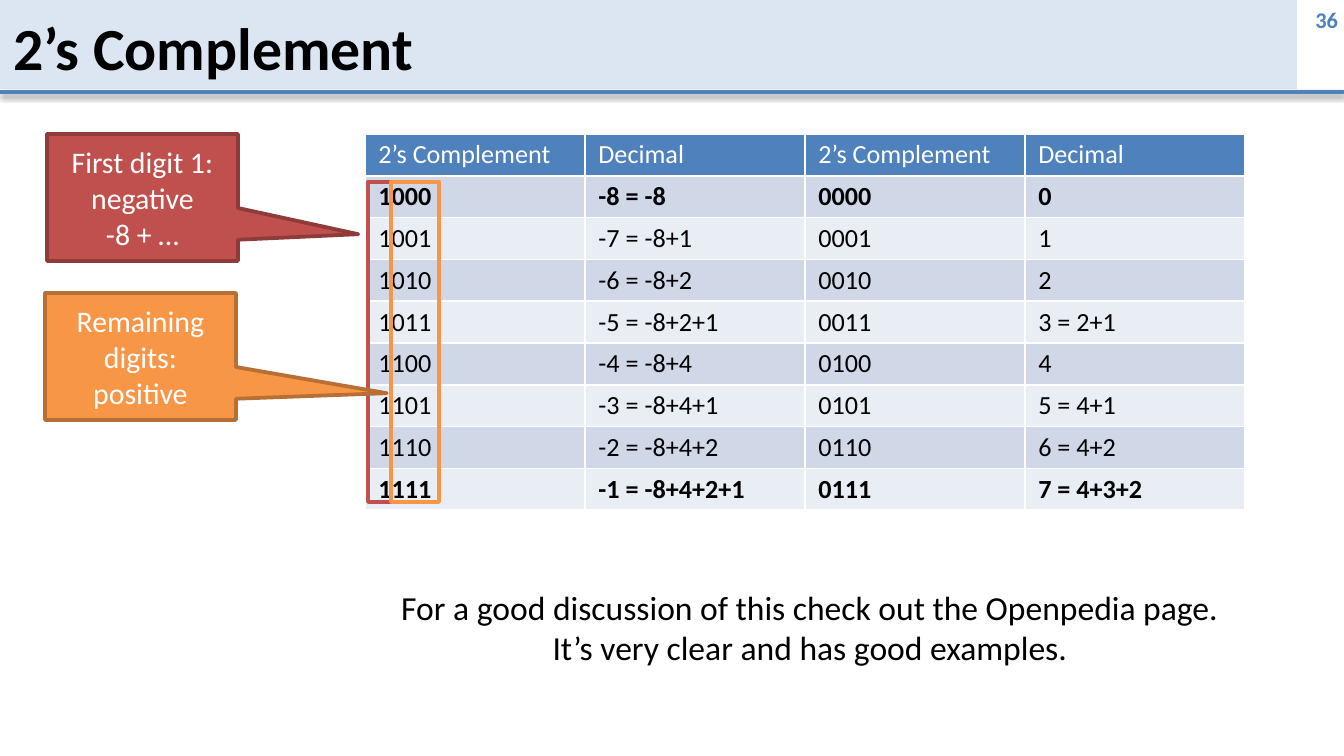
import pptx
import pptx.util
import pptx.dml.color
import pptx.enum.shapes
import pptx.enum.text
import pptx.oxml
import pptx.oxml.ns
from dataclasses import dataclass

PX = 9144000 / 1344  # EMU in one px
SHAPE = pptx.enum.shapes.MSO_SHAPE
ALIGN = pptx.enum.text.PP_ALIGN
MIDDLE = pptx.enum.text.MSO_ANCHOR.MIDDLE


@dataclass
class Theme:
    font: str = "Calibri"
    black: str = "000000"
    white: str = "FFFFFF"
    banner: str = "DCE6F2"
    accent: str = "4F81BD"
    bands: tuple = ("D0D8E8", "E9EDF4")
    red: str = "C0504D"
    dark_red: str = "8E3B39"
    orange: str = "F79646"
    dark_orange: str = "B76F34"
    title: int = 32
    note: int = 18
    callout: int = 16
    table: int = 14
    number: int = 12


theme = Theme()


def px(*lengths):
    return [pptx.util.Emu(round(length * PX)) for length in lengths]


def write(frame, lines, size, color, align=ALIGN.LEFT, bold=False):
    """Fill a text frame with one paragraph for each line."""
    frame.text = "\n".join(lines)
    font_format = {"name": theme.font, "size": pptx.util.Pt(size), "bold": bold}
    for paragraph in frame.paragraphs:
        paragraph.alignment = align
        for run in paragraph.runs:
            for key, value in font_format.items():
                setattr(run.font, key, value)
            run.font.color.rgb = pptx.dml.color.RGBColor.from_string(color)


presentation = pptx.Presentation()
presentation.slide_width, presentation.slide_height = px(1344, 756)
slide = presentation.slides.add_slide(presentation.slide_layouts[5])
shapes = slide.shapes

# Header
page_number = shapes.add_textbox(*px(1254, 0, 90, 40)).text_frame
number_format = {"vertical_anchor": MIDDLE, "word_wrap": False}
number_format["margin_left"], number_format["margin_right"] = px(6, 6)
for key, value in number_format.items():
    setattr(page_number, key, value)
write(page_number, ["36"], theme.number, theme.accent, ALIGN.RIGHT, True)

banner = shapes.add_shape(SHAPE.RECTANGLE, *px(0, 0, 1297, 89))
banner.shadow.inherit = False
banner.fill.solid()
banner.fill.fore_color.rgb = pptx.dml.color.RGBColor.from_string(theme.banner)
banner.line.fill.background()

rule = shapes.add_connector(pptx.enum.shapes.MSO_CONNECTOR.STRAIGHT, *px(0, 92, 1344, 92))
rule.line.color.rgb = pptx.dml.color.RGBColor.from_string(theme.accent)
rule.line.width = pptx.util.Pt(2)
rule.element.spPr.append(pptx.oxml.parse_xml(
    f'<a:effectLst {pptx.oxml.ns.nsdecls("a")}>'
    '<a:outerShdw blurRad="39370" dist="20320" dir="5400000" rotWithShape="0">'
    f'<a:srgbClr val="{theme.black}"><a:alpha val="38000"/></a:srgbClr>'
    '</a:outerShdw></a:effectLst>'))

title = shapes.title
title.element.getparent().append(title.element)  # in front of the banner
title.left, title.top, title.width, title.height = px(0, 4, 1328, 85)
title.text_frame.vertical_anchor = MIDDLE
title.text_frame.auto_size = pptx.enum.text.MSO_AUTO_SIZE.NONE
write(title.text_frame, ["2’s Complement"], theme.title, theme.black, bold=True)

# Table of four-bit values
rows = [
    ("2’s Complement", "Decimal", "2’s Complement", "Decimal"),
    ("1000", "-8 = -8", "0000", "0"),
    ("1001", "-7 = -8+1", "0001", "1"),
    ("1010", "-6 = -8+2", "0010", "2"),
    ("1011", "-5 = -8+2+1", "0011", "3 = 2+1"),
    ("1100", "-4 = -8+4", "0100", "4"),
    ("1101", "-3 = -8+4+1", "0101", "5 = 4+1"),
    ("1110", "-2 = -8+4+2", "0110", "6 = 4+2"),
    ("1111", "-1 = -8+4+2+1", "0111", "7 = 4+3+2"),
]
values = shapes.add_table(len(rows), 4, *px(365, 134, 880, 41 * len(rows))).table
for row_index, row in enumerate(rows):
    is_header = row_index == 0
    fill = theme.accent if is_header else theme.bands[(row_index - 1) % 2]
    color = theme.white if is_header else theme.black
    is_extreme = row_index in (1, len(rows) - 1)
    for column_index, value in enumerate(row):
        cell = values.cell(row_index, column_index)
        cell.margin_top, cell.margin_bottom = px(5, 5)
        cell.fill.solid()
        cell.fill.fore_color.rgb = pptx.dml.color.RGBColor.from_string(fill)
        write(cell.text_frame, [value], theme.table, color, bold=is_extreme)

# Closing note
note = shapes.add_textbox(*px(344, 580, 932, 95)).text_frame
note.word_wrap = True
write(note, ["For a good discussion of this check out the Openpedia page.\v"
             "It’s very clear and has good examples."],
      theme.note, theme.black, ALIGN.CENTER)

# Digit frames, each with the callout that explains it
explanations = [
    ((368, 182, 23, 320), (47, 134, 191, 127), 1.13, theme.red, theme.dark_red,
     ["First digit 1:", "negative", "-8 + …"]),
    ((391, 182, 48, 320), (45, 293, 191, 127), 1.29, theme.orange, theme.dark_orange,
     ["Remaining digits:", "positive"]),
]
for digits_box, callout_box, tip_x, fill, outline, lines in explanations:
    digits = shapes.add_shape(SHAPE.RECTANGLE, *px(*digits_box))
    digits.fill.background()
    callout = shapes.add_shape(SHAPE.RECTANGULAR_CALLOUT, *px(*callout_box))
    callout.adjustments[0], callout.adjustments[1] = tip_x, 0.29
    callout.fill.solid()
    callout.fill.fore_color.rgb = pptx.dml.color.RGBColor.from_string(fill)
    for part, line_color in ((digits, fill), (callout, outline)):
        part.shadow.inherit = False
        part.line.color.rgb = pptx.dml.color.RGBColor.from_string(line_color)
        part.line.width = pptx.util.Pt(2)
    callout.text_frame.word_wrap = True
    callout.text_frame.vertical_anchor = MIDDLE
    write(callout.text_frame, lines, theme.callout, theme.white, ALIGN.CENTER)

presentation.save("out.pptx")
